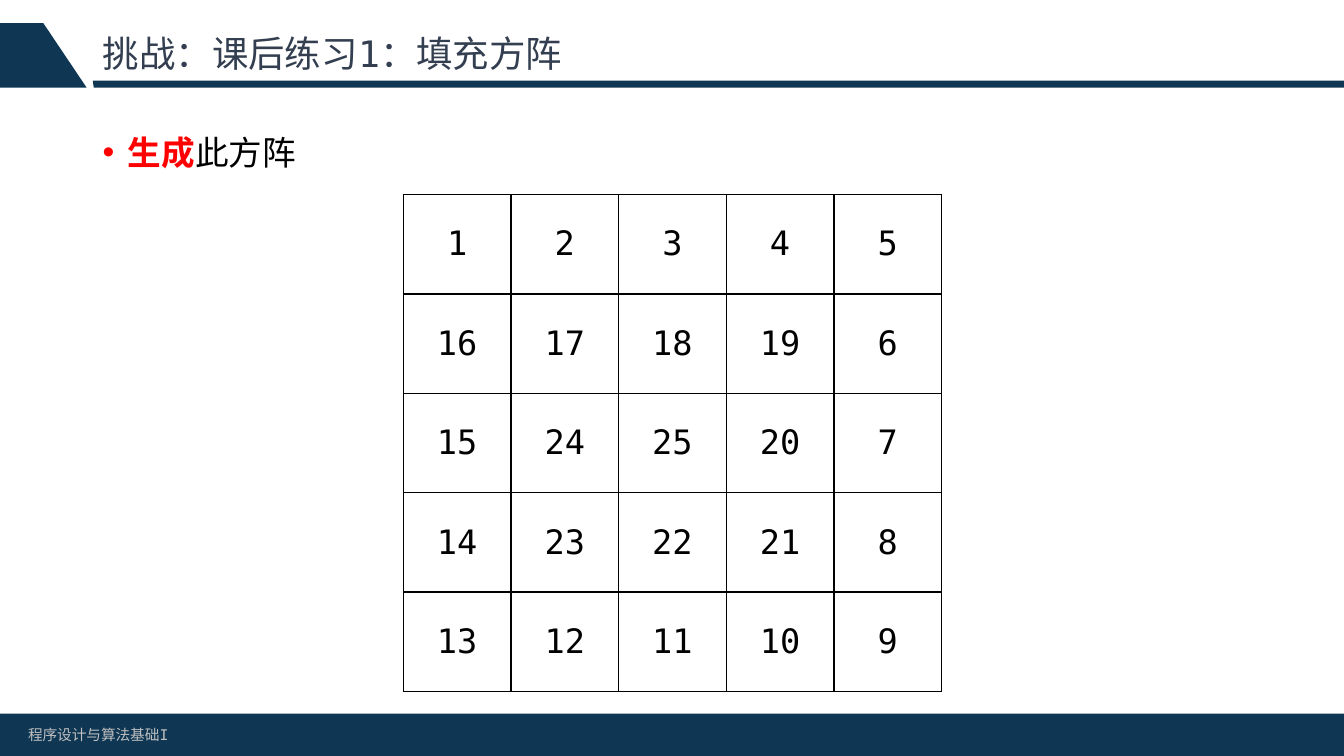
from dataclasses import dataclass

from lxml import etree
from pptx import Presentation
from pptx.dml.color import RGBColor
from pptx.enum import shapes, text
from pptx.oxml import ns
from pptx.util import Inches, Pt


@dataclass(frozen=True)
class Theme:
    font: str = "DejaVu Sans Mono"
    navy: str = "0F3754"
    title: str = "333F50"
    footer: str = "BFBFBF"
    accent: str = "FF0000"
    ink: str = "000000"
    title_size: float = 26
    body_size: float = 24
    footer_size: float = 10.5


THEME = Theme()
SLIDE_WIDTH, SLIDE_HEIGHT = 13.33, 7.5
GRID_SIZE = 5


def set_font(font, size, color=None):
    font.name = THEME.font
    font.size = Pt(size)
    if color:
        font.color.rgb = RGBColor.from_string(color)


def paint(shape, color):
    shape.shadow.inherit = False
    shape.fill.solid()
    shape.fill.fore_color.rgb = RGBColor.from_string(color)
    shape.line.fill.background()


def add_polygon(slide, points):
    corners = [(Inches(x), Inches(y)) for x, y in points]
    builder = slide.shapes.build_freeform(*corners[0])
    builder.add_line_segments(corners[1:], close=True)
    paint(builder.convert_to_shape(), THEME.navy)


def add_text_box(slide, left, top, width, height):
    box = slide.shapes.add_textbox(Inches(left), Inches(top), Inches(width), Inches(height))
    box.text_frame.word_wrap = True
    return box.text_frame


def add_header(slide, left, top, width, height, title):
    right, bottom = left + width, top + height
    # Rule and slanted tab
    add_polygon(slide, [(left + 0.92, bottom - 0.07), (right, bottom - 0.07),
                        (right, bottom), (left + 0.93, bottom)])
    add_polygon(slide, [(left + 0.43, top), (left + 0.86, bottom),
                        (left, bottom), (left, top)])
    # Title
    placeholder = slide.shapes.title
    placeholder.left, placeholder.top = Inches(left + 0.92), Inches(top)
    placeholder.width, placeholder.height = Inches(11.5), Inches(height)
    frame = placeholder.text_frame
    frame.text = title
    frame.auto_size = text.MSO_AUTO_SIZE.NONE
    frame.vertical_anchor = text.MSO_ANCHOR.MIDDLE
    paragraph = frame.paragraphs[0]
    paragraph.alignment = text.PP_ALIGN.LEFT
    paragraph.line_spacing = 0.9
    set_font(paragraph.font, THEME.title_size, THEME.title)


def add_footer(slide, left, top, width, height, caption):
    bar = slide.shapes.add_shape(shapes.MSO_SHAPE.RECTANGLE, Inches(left), Inches(top),
                                 Inches(width), Inches(height))
    paint(bar, THEME.navy)
    frame = add_text_box(slide, left + 0.18, top + 0.07, 4.32, 0.29)
    frame.text = caption
    set_font(frame.paragraphs[0].font, THEME.footer_size, THEME.footer)


def add_task(slide, left, top, width, height, emphasis, rest):
    paragraph = add_text_box(slide, left, top, width, height).paragraphs[0]
    paragraph.alignment = text.PP_ALIGN.JUSTIFY
    # Hanging bullet
    properties = paragraph._p.get_or_add_pPr()
    properties.set("marL", str(Inches(0.25)))
    properties.set("indent", str(Inches(-0.25)))
    bullet_color = etree.SubElement(properties, ns.qn("a:buClr"))
    etree.SubElement(bullet_color, ns.qn("a:srgbClr"), val=THEME.accent)
    etree.SubElement(properties, ns.qn("a:buFont"), typeface="Arial")
    etree.SubElement(properties, ns.qn("a:buChar"), char="•")
    set_font(paragraph.font, THEME.body_size)
    for words, color, bold in ((emphasis, THEME.accent, True), (rest, THEME.ink, False)):
        run = paragraph.add_run()
        run.text = words
        run.font.bold = bold
        run.font.color.rgb = RGBColor.from_string(color)


def spiral(size):
    """Fill a square clockwise from its top left corner inwards."""
    grid = [[0] * size for _ in range(size)]
    row, column, row_step, column_step = 0, 0, 0, 1
    for number in range(1, size * size + 1):
        grid[row][column] = number
        if grid[(row + row_step) % size][(column + column_step) % size]:
            row_step, column_step = column_step, -row_step
        row, column = (row + row_step) % size, (column + column_step) % size
    return grid


def add_borders(cell):
    properties = cell._tc.get_or_add_tcPr()
    for position, side in enumerate(("a:lnL", "a:lnR", "a:lnT", "a:lnB")):
        line = etree.Element(ns.qn(side), w=str(Pt(1)))
        fill = etree.SubElement(line, ns.qn("a:solidFill"))
        etree.SubElement(fill, ns.qn("a:srgbClr"), val=THEME.ink)
        properties.insert(position, line)


def add_square(slide, left, top, width, height, grid):
    size = len(grid)
    table = slide.shapes.add_table(size, size, Inches(left), Inches(top),
                                   Inches(width), Inches(height)).table
    table.first_row = table.horz_banding = False
    for row, numbers in enumerate(grid):
        for column, number in enumerate(numbers):
            cell = table.cell(row, column)
            cell.text = str(number)
            cell.vertical_anchor = text.MSO_ANCHOR.MIDDLE
            cell.fill.background()
            add_borders(cell)
            paragraph = cell.text_frame.paragraphs[0]
            paragraph.alignment = text.PP_ALIGN.CENTER
            set_font(paragraph.font, THEME.body_size, THEME.ink)


def main():
    presentation = Presentation()
    presentation.slide_width = Inches(SLIDE_WIDTH)
    presentation.slide_height = Inches(SLIDE_HEIGHT)
    slide = presentation.slides.add_slide(presentation.slide_layouts[5])
    add_header(slide, 0, 0.23, SLIDE_WIDTH, 0.64, "挑战：课后练习1：填充方阵")
    add_footer(slide, 0, 7.08, SLIDE_WIDTH, 0.42, "程序设计与算法基础I")
    add_task(slide, 0.92, 1.26, 11.5, 5.43, "生成", "此方阵")
    add_square(slide, 4, 1.93, 5.34, 4.93, spiral(GRID_SIZE))
    presentation.save("out.pptx")


if __name__ == "__main__":
    main()
